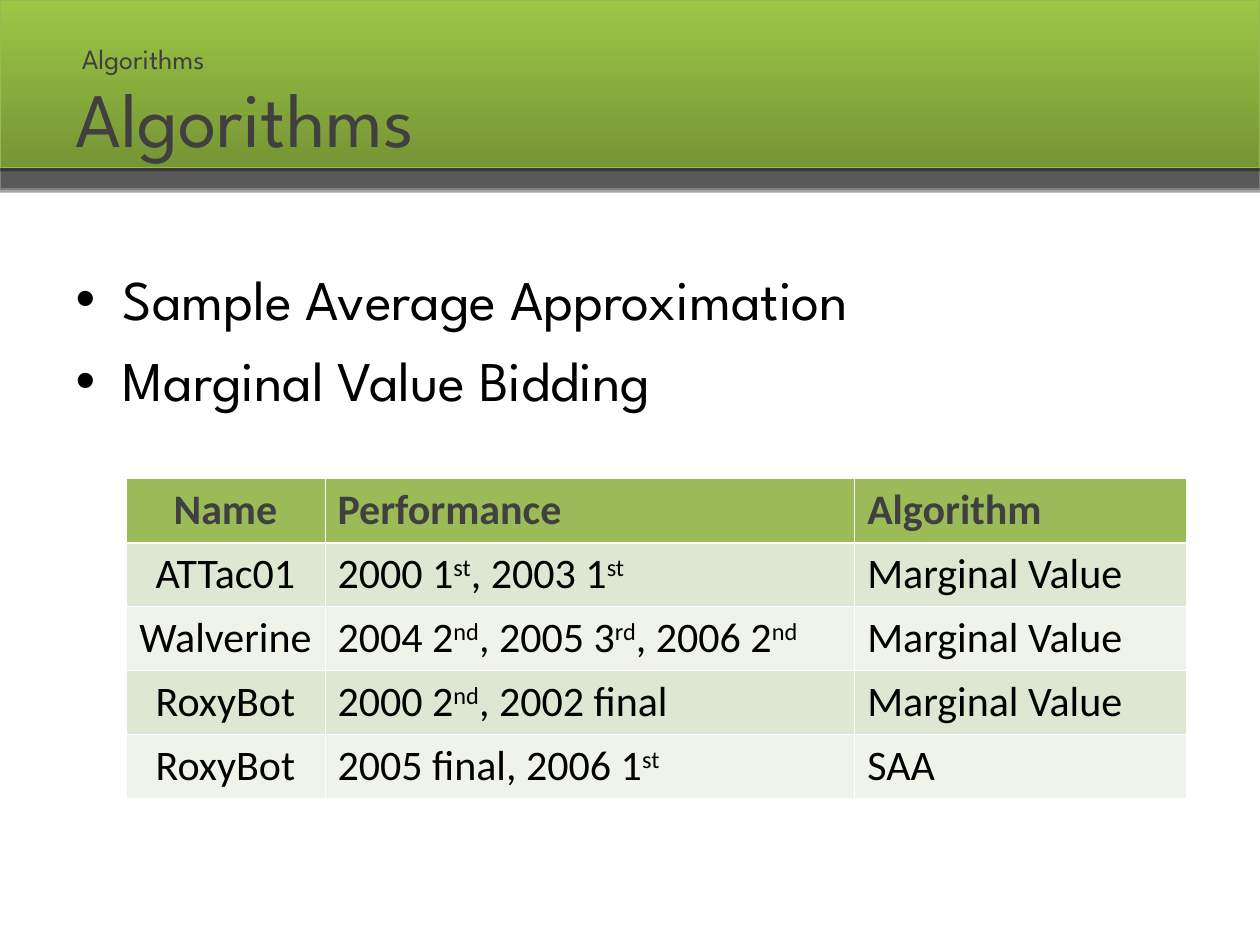
from dataclasses import dataclass

from lxml import etree
from pptx import Presentation
from pptx.dml.color import RGBColor
from pptx.enum.shapes import MSO_SHAPE
from pptx.enum.text import MSO_ANCHOR, MSO_AUTO_SIZE, PP_ALIGN
from pptx.oxml.ns import qn
from pptx.util import Cm, Pt

RECT = MSO_SHAPE.RECTANGLE
MIDDLE, TOP = MSO_ANCHOR.MIDDLE, MSO_ANCHOR.TOP
NO_FIT = MSO_AUTO_SIZE.NONE
LEFT, CENTER = PP_ALIGN.LEFT, PP_ALIGN.CENTER


@dataclass(frozen=True)
class Theme:
    head: str = "League Spartan"
    cell: str = "Calibri"
    ink: str = "000000"
    dark: str = "404040"
    rule: str = "FFFFFF"
    top_row: str = "9BBB59"
    bands: tuple[str, str] = ("DEE7D1", "EFF3EA")
    title: int = 44
    body: int = 32
    grid: int = 24
    small: int = 16
    thin: float = 0.45
    thick: float = 1.47


@dataclass(frozen=True)
class Box:
    left: float
    top: float
    width: float
    height: float

    def lengths(self) -> tuple[Cm, Cm, Cm, Cm]:
        return Cm(self.left), Cm(self.top), Cm(self.width), Cm(self.height)


@dataclass(frozen=True)
class Bar:
    box: Box
    fills: tuple[str, ...]
    line: str


THEME = Theme()
BARS = (
    Bar(Box(0, 3.38, 25.4, 0.43), ("595959",), "7F7F7F"),
    Bar(Box(0, 0, 25.4, 3.38), ("769535", "9CC746"), "98B954"),
)
POINTS = ("Sample Average Approximation", "Marginal Value Bidding")
WIDTHS = (4.01, 10.68, 6.69)
ROW_HEIGHT = 1.29
ROWS = (
    ("Name", "Performance", "Algorithm"),
    ("ATTac01", "2000 1^st^, 2003 1^st", "Marginal Value"),
    ("Walverine", "2004 2^nd^, 2005 3^rd^, 2006 2^nd", "Marginal Value"),
    ("RoxyBot", "2000 2^nd^, 2002 final", "Marginal Value"),
    ("RoxyBot", "2005 final, 2006 1^st", "SAA"),
)


def rgb(code: str) -> RGBColor:
    return RGBColor.from_string(code)


def write(frame, *lines: str, size: int, font: str, color: str,
          bold: bool = False, align=LEFT, gap: float = 0) -> None:
    for i, line in enumerate(lines):
        para = frame.add_paragraph() if i else frame.paragraphs[0]
        para.alignment = align
        para.space_before = Pt(gap if i else 0)
        for j, part in enumerate(line.split("^")):
            run = para.add_run()
            run.text = part
            run.font.size, run.font.name = Pt(size), font
            run.font.bold = bold
            run.font.color.rgb = rgb(color)
            if j % 2:
                run.font._element.set("baseline", "30000")


def place(shape, box: Box, anchor) -> None:
    shape.left, shape.top, shape.width, shape.height = box.lengths()
    frame = shape.text_frame
    frame.word_wrap, frame.auto_size = True, NO_FIT
    frame.vertical_anchor = anchor


def draw_bar(slide, bar: Bar, layer: int) -> None:
    shape = slide.shapes.add_shape(RECT, *bar.box.lengths())
    if len(bar.fills) > 1:
        shape.fill.gradient()
        shape.fill.gradient_angle = 90
        for i, (stop, code) in enumerate(zip(shape.fill.gradient_stops, bar.fills)):
            stop.position, stop.color.rgb = i, rgb(code)
    else:
        shape.fill.solid()
        shape.fill.fore_color.rgb = rgb(bar.fills[0])
    shape.line.color.rgb, shape.line.width = rgb(bar.line), Pt(0.75)
    shape.shadow.inherit = False
    effects = shape._element.spPr.find(qn("a:effectLst"))
    shade = etree.SubElement(effects, qn("a:outerShdw"), blurRad="0",
                             dist=str(Pt(1.8)), dir="5400000", rotWithShape="0")
    black = etree.SubElement(shade, qn("a:srgbClr"), val=THEME.ink)
    etree.SubElement(black, qn("a:alpha"), val="35000")
    slide.shapes._spTree.insert(2 + layer, shape._element)


def rule_cell(cell, row: int) -> None:
    props = cell._tc.get_or_add_tcPr()
    heavy = {0: "lnB", 1: "lnT"}.get(row)
    for side in ("lnL", "lnR", "lnT", "lnB"):
        width = THEME.thick if side == heavy else THEME.thin
        line = etree.SubElement(props, qn(f"a:{side}"), w=str(Pt(width)))
        fill = etree.SubElement(line, qn("a:solidFill"))
        etree.SubElement(fill, qn("a:srgbClr"), val=THEME.rule)


def draw_table(slide, box: Box) -> None:
    table = slide.shapes.add_table(len(ROWS), len(WIDTHS), *box.lengths()).table
    for col, width in zip(table.columns, WIDTHS):
        col.width = Cm(width)
    for r, texts in enumerate(ROWS):
        table.rows[r].height = Cm(ROW_HEIGHT)
        for c, text in enumerate(texts):
            cell = table.cell(r, c)
            rule_cell(cell, r)
            cell.fill.solid()
            cell.fill.fore_color.rgb = rgb(THEME.bands[(r - 1) % 2] if r else THEME.top_row)
            write(cell.text_frame, text, size=THEME.grid, font=THEME.cell,
                  color=THEME.ink if r else THEME.dark, bold=r == 0,
                  align=LEFT if c else CENTER)


def main() -> None:
    deck = Presentation()
    deck.slide_width, deck.slide_height = Cm(25.4), Cm(19.05)
    slide = deck.slides.add_slide(deck.slide_layouts[1])
    for layer, bar in enumerate(BARS):
        draw_bar(slide, bar, layer)

    title, body = slide.shapes.title, slide.placeholders[1]
    place(title, Box(1.27, 0.76, 22.86, 3.18), MIDDLE)
    write(title.text_frame, "Algorithms", size=THEME.title, font=THEME.head, color=THEME.dark)
    place(body, Box(1.27, 5.21, 22.86, 12.57), TOP)
    write(body.text_frame, *POINTS, size=THEME.body, font=THEME.head, color=THEME.ink, gap=8)

    draw_table(slide, Box(2.54, 9.65, sum(WIDTHS), ROW_HEIGHT * len(ROWS)))

    box = Box(1.4, 0, 3.68, 2.34)
    label = slide.shapes.add_textbox(*box.lengths())
    place(label, box, MIDDLE)
    write(label.text_frame, "Algorithms", size=THEME.small, font=THEME.head, color=THEME.dark)
    deck.save("out.pptx")


if __name__ == "__main__":
    main()
